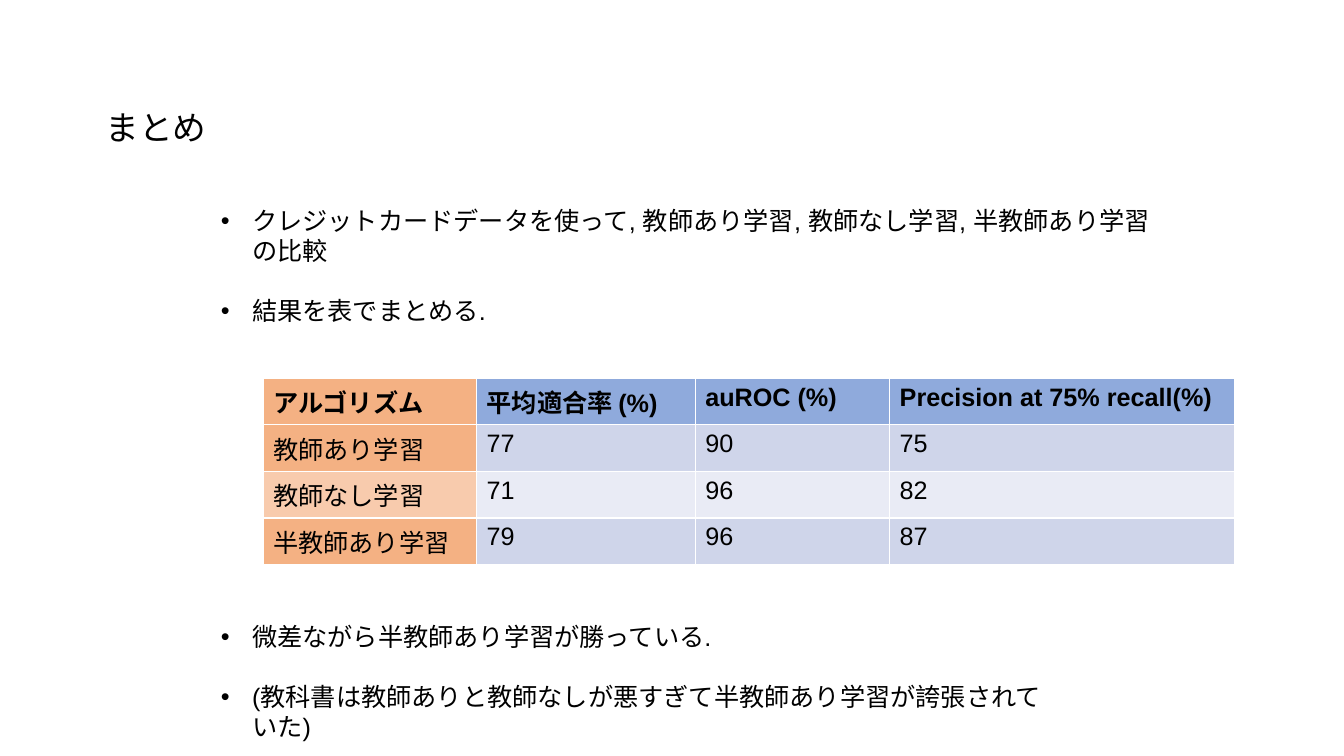
from dataclasses import dataclass

from lxml import etree
from pptx import Presentation
from pptx.dml.color import RGBColor
from pptx.enum.text import MSO_ANCHOR, MSO_AUTO_SIZE, PP_ALIGN
from pptx.oxml.ns import qn
from pptx.util import Cm, Pt

LEFT = PP_ALIGN.LEFT
TOP = MSO_ANCHOR.TOP
NO_AUTOFIT = MSO_AUTO_SIZE.NONE


@dataclass(frozen=True)
class Theme:
    font: str = "Arial"
    title_size: int = 24
    body_size: int = 18
    text: str = "000000"
    header: str = "8FAADC"
    row_names: tuple = ("F4B183", "F8CBAD")
    row_values: tuple = ("CFD5EA", "E9EBF5")


THEME = Theme()


def write(paragraph, text, size=THEME.body_size, bold=False, bullet=False, space_before=0):
    paragraph.alignment = LEFT
    paragraph.space_before = Pt(space_before)
    run = paragraph.add_run()
    run.text = text
    run.font.name = THEME.font
    run.font.size = Pt(size)
    run.font.bold = bold
    run.font.color.rgb = RGBColor.from_string(THEME.text)
    if bullet:
        properties = paragraph._p.get_or_add_pPr()
        properties.set("marL", str(Cm(0.79)))
        properties.set("indent", str(-Cm(0.79)))
        etree.SubElement(properties, qn("a:buFont")).set("typeface", THEME.font)
        etree.SubElement(properties, qn("a:buChar")).set("char", "•")


def place(shape, left, top, width, height):
    shape.left, shape.top, shape.width, shape.height = map(Cm, (left, top, width, height))
    shape.text_frame.word_wrap = True
    shape.text_frame.auto_size = NO_AUTOFIT
    shape.text_frame.vertical_anchor = TOP


presentation = Presentation()
presentation.slide_width = Cm(33.87)
presentation.slide_height = Cm(19.05)
slide = presentation.slides.add_slide(presentation.slide_layouts.get_by_name("Two Content"))
title, setup_list, finding_list = slide.placeholders

# Title
place(title, 2.41, 2.57, 11.28, 1.27)
write(title.text_frame.paragraphs[0], "まとめ", size=THEME.title_size)

# Lists above and below the table
lists = [
    (setup_list, (5.31, 5.05, 24.18, 3.33), [
        "クレジットカードデータを使って, 教師あり学習, 教師なし学習, 半教師あり学習 の比較",
        "結果を表でまとめる.",
    ]),
    (finding_list, (5.31, 15.54, 21.51, 2.57), [
        "微差ながら半教師あり学習が勝っている.",
        "(教科書は教師ありと教師なしが悪すぎて半教師あり学習が誇張されていた)",
    ]),
]
for placeholder, box, items in lists:
    place(placeholder, *box)
    frame = placeholder.text_frame
    for index, item in enumerate(items):
        paragraph = frame.add_paragraph() if index else frame.paragraphs[0]
        write(paragraph, item, bullet=True, space_before=21 if index else 0)

# Results table; its default style draws the white grid
results = [
    ("アルゴリズム", "平均適合率 (%)", "auROC (%)", "Precision at 75% recall(%)"),
    ("教師あり学習", "77", "90", "75"),
    ("教師なし学習", "71", "96", "82"),
    ("半教師あり学習", "79", "96", "87"),
]
column_widths = (5.38, 5.51, 4.9, 8.69)
row_height = 1.03
table = slide.shapes.add_table(
    len(results), len(column_widths), Cm(6.63), Cm(9.53),
    Cm(sum(column_widths)), Cm(row_height * len(results)),
).table
for column, width in zip(table.columns, column_widths):
    column.width = Cm(width)
for row_index, values in enumerate(results):
    table.rows[row_index].height = Cm(row_height)
    is_header = row_index == 0
    band = 0 if is_header else (row_index - 1) % 2
    for column_index, value in enumerate(values):
        if column_index == 0:
            color = THEME.row_names[band]
        else:
            color = THEME.header if is_header else THEME.row_values[band]
        cell = table.cell(row_index, column_index)
        cell.fill.solid()
        cell.fill.fore_color.rgb = RGBColor.from_string(color)
        write(cell.text_frame.paragraphs[0], value, bold=is_header)

presentation.save("out.pptx")
